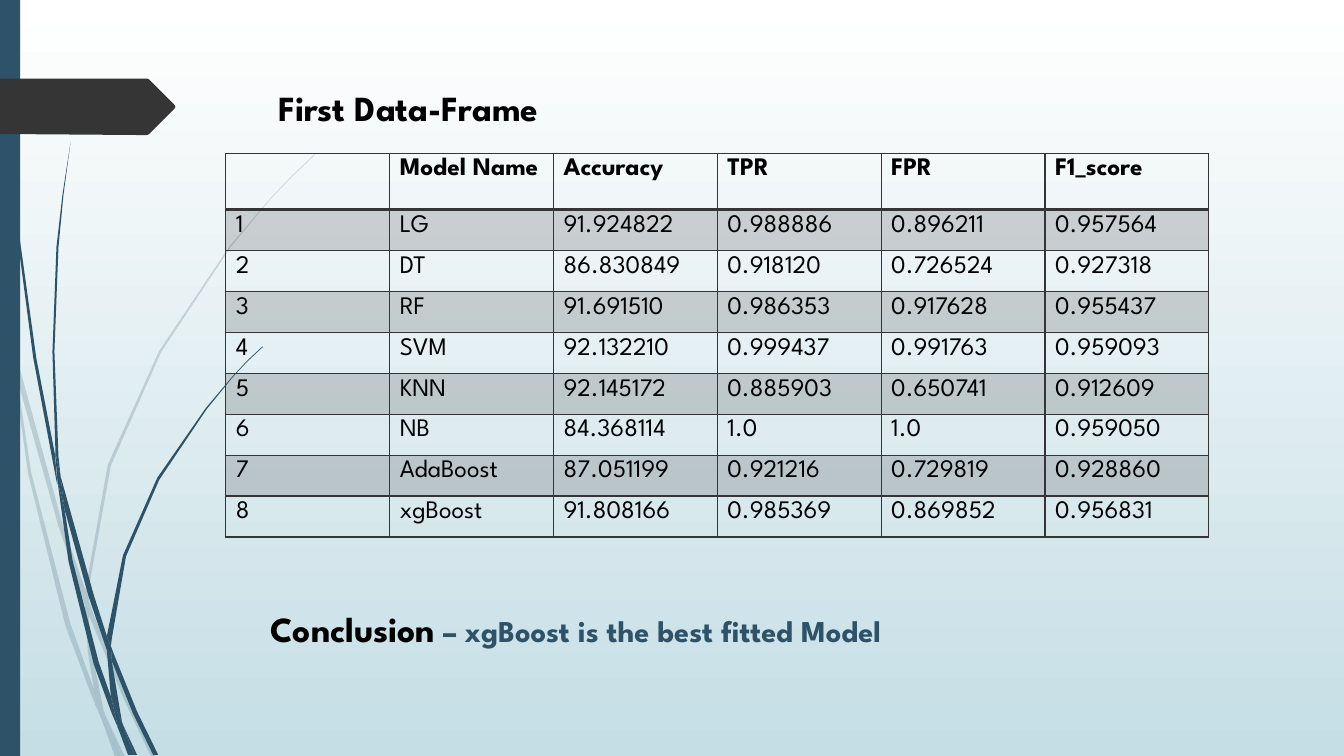
from lxml import etree
from pptx import Presentation, util as u
from pptx.dml.color import RGBColor
from pptx.enum import shapes, text
from pptx.oxml.ns import qn

THEME = {
    "font": "League Spartan",
    "black": "000000", "charcoal": "353535", "navy": "2E5369",
    "sky_top": "FFFFFF", "sky_bottom": "C5DEE5",
    "heading": 25.2, "remark": 21.6, "cell": 18,
    "faint": 20, "solid": 100,
}


def write(para, words, size, colour="black", bold=False):
    span = para.add_run()
    span.text = words
    span.font.name = THEME["font"]
    span.font.size = u.Pt(size)
    span.font.bold = bold
    span.font.color.rgb = RGBColor.from_string(THEME[colour])


def paint(fill, element, colour, opacity=100):
    """Fill solidly; element is the XML that holds the fill."""
    fill.solid()
    fill.fore_color.rgb = RGBColor.from_string(THEME[colour])
    if opacity < 100:
        tone = element.find(qn("a:solidFill")).find(qn("a:srgbClr"))
        etree.SubElement(tone, qn("a:alpha"), val=str(opacity * 1000))


deck = Presentation()
deck.slide_width, deck.slide_height = u.Inches(13.33), u.Inches(7.5)
page = deck.slides.add_slide(deck.slide_layouts[6])

sky = page.background.fill
sky.gradient()
sky.gradient_angle = 270
for stop, name in zip(sky.gradient_stops, ("sky_top", "sky_bottom")):
    stop.color.rgb = RGBColor.from_string(THEME[name])

# Corners in inches
faint_grass = [
    [(0.11, 3.5), (0.09, 3.22), (0, 2.82), (0, 2.99), (0.1, 3.44)],
    [(0.58, 5.22), (0.84, 5.99), (0.85, 5.86), (0.62, 5.2), (0.14, 3.45), (0.17, 3.76)],
    [(0.92, 6.07), (0.88, 5.96), (0.88, 6.1), (1.23, 6.94), (1.5, 7.51), (1.55, 7.51),
     (1.27, 6.92)],
    [(1.19, 7.51), (1.24, 7.51), (1.05, 7.11)],
    [(0.93, 6.83), (0.7, 6.19), (0.31, 4.69), (0.17, 3.76), (0.11, 3.5), (0.28, 4.7),
     (0.65, 6.21), (0.92, 6.93), (1.01, 7.14), (0.99, 7.07)],
    [(0.84, 5.99), (0.87, 6.46), (0.93, 6.83), (0.96, 6.92), (1.05, 7.11), (1.03, 7.06),
     (0.91, 6.46), (0.88, 6.1), (0.88, 6.08)],
    [(0.88, 5.84), (1.1, 4.62), (1.6, 3.49), (2.29, 2.45), (2.68, 1.98), (2.9, 1.75),
     (3.12, 1.54), (3.12, 1.53), (2.89, 1.75), (2.68, 1.97), (2.28, 2.44), (1.58, 3.48),
     (1.07, 4.61), (0.85, 5.84), (0.85, 5.86), (0.88, 5.96)],
    [(1.01, 7.14), (1.14, 7.51), (1.19, 7.51)],
    [(0.88, 6.08), (0.88, 6.1), (0.88, 5.96), (0.85, 5.86), (0.84, 5.99)],
    [(0.96, 6.92), (0.93, 6.83), (0.99, 7.07), (1.01, 7.14), (1.19, 7.51), (1.05, 7.11)],
]
solid_grass = [
    [(0.07, 1.1), (0.17, 2.33), (0.33, 3.55), (0.56, 4.77), (0.57, 4.81), (0.55, 4.57),
     (0.55, 4.53), (0.36, 3.55), (0.19, 2.32), (0.08, 1.09), (0.05, 0.48), (0.04, 0),
     (0.03, 0), (0.04, 0.48)],
    [(0.88, 5.92), (1.06, 6.45), (1.06, 6.33), (1.06, 6.31), (0.93, 5.9), (0.6, 4.72),
     (0.64, 5.05)],
    [(1.13, 6.49), (1.1, 6.41), (1.11, 6.56), (1.32, 7.08), (1.52, 7.49), (1.57, 7.49),
     (1.36, 7.06)],
    [(1.1, 6.91), (0.98, 6.57), (0.72, 5.56), (0.64, 5.05), (0.57, 4.77), (0.68, 5.57),
     (0.93, 6.59), (1.11, 7.08), (1.17, 7.22), (1.16, 7.17)],
    [(0.6, 4.72), (0.58, 4.53), (0.54, 3.49), (0.58, 2.45), (0.63, 1.93), (0.7, 1.41),
     (0.62, 1.93), (0.56, 2.45), (0.52, 3.49), (0.55, 4.49)],
    [(1.33, 7.49), (1.36, 7.49), (1.22, 7.19)],
    [(0.57, 4.77), (0.64, 5.05), (0.6, 4.72), (0.55, 4.49), (0.55, 4.53)],
    [(1.11, 6.33), (1.25, 5.52), (1.58, 4.76), (2.05, 4.06), (2.31, 3.74), (2.45, 3.59),
     (2.61, 3.44), (2.6, 3.44), (2.45, 3.58), (2.31, 3.73), (2.04, 4.05), (1.56, 4.74),
     (1.22, 5.51), (1.06, 6.31), (1.1, 6.41)],
    [(1.17, 7.22), (1.27, 7.49), (1.31, 7.49)],
    [(1.06, 6.45), (1.1, 6.91), (1.16, 7.06), (1.22, 7.19), (1.21, 7.16), (1.11, 6.56),
     (1.09, 6.51)],
    [(1.06, 6.45), (1.09, 6.51), (1.11, 6.56), (1.1, 6.41), (1.06, 6.31), (1.06, 6.33)],
    [(1.16, 7.06), (1.1, 6.91), (1.16, 7.17), (1.17, 7.22), (1.3, 7.49), (1.33, 7.49),
     (1.22, 7.19)],
]
ribbon = [(1.73, 1.08), (1.48, 1.33), (1.46, 1.34), (1.36, 1.34), (0, 1.33), (0, 0.78),
          (1.36, 0.78), (1.46, 0.78), (1.48, 0.79), (1.73, 1.04), (1.74, 1.06)]
edge_bar = [(0, 0), (0.2, 0), (0.2, 7.5), (0, 7.5)]

outlines = [(corners, "navy", THEME["faint"]) for corners in faint_grass]
outlines += [(corners, "navy", THEME["solid"]) for corners in solid_grass]
outlines += [(edge_bar, "navy", THEME["solid"]), (ribbon, "charcoal", THEME["solid"])]
for corners, colour, opacity in outlines:
    if corners is edge_bar:
        shape = page.shapes.add_shape(shapes.MSO_SHAPE.RECTANGLE, 0, 0,
                                      u.Inches(0.2), deck.slide_height)
    else:
        start, *rest = [(u.Inches(x), u.Inches(y)) for x, y in corners]
        builder = page.shapes.build_freeform(*start)
        builder.add_line_segments(rest, close=True)
        shape = builder.convert_to_shape()
    shape.shadow.inherit = False
    shape.line.fill.background()
    paint(shape.fill, shape._element.spPr, colour, opacity)

headings = [
    (2.76, 0.82, [("First Data-Frame", THEME["heading"], "black")]),
    (2.68, 5.98, [("Conclusion", THEME["heading"], "black"),
                  (" – xgBoost is the best fitted Model", THEME["remark"], "navy")]),
]
for left, top, spans in headings:
    box = page.shapes.add_textbox(u.Inches(left), u.Inches(top), u.Inches(9), u.Inches(0.5))
    frame = box.text_frame
    frame.word_wrap = True
    frame.vertical_anchor = text.MSO_ANCHOR.MIDDLE
    frame.margin_left = frame.margin_right = frame.margin_top = frame.margin_bottom = 0
    for words, size, colour in spans:
        write(frame.paragraphs[0], words, size, colour, bold=True)

scores = [
    ("", "Model Name", "Accuracy", "TPR", "FPR", "F1_score"),
    ("1", "LG", "91.924822", "0.988886", "0.896211", "0.957564"),
    ("2", "DT", "86.830849", "0.918120", "0.726524", "0.927318"),
    ("3", "RF", "91.691510", "0.986353", "0.917628", "0.955437"),
    ("4", "SVM", "92.132210", "0.999437", "0.991763", "0.959093"),
    ("5", "KNN", "92.145172", "0.885903", "0.650741", "0.912609"),
    ("6", "NB", "84.368114", "1.0", "1.0", "0.959050"),
    ("7", "AdaBoost", "87.051199", "0.921216", "0.729819", "0.928860"),
    ("8", "xgBoost", "91.808166", "0.985369", "0.869852", "0.956831"),
]
HEADER, BODY, WIDTH = u.Inches(0.56), u.Inches(3.25), u.Inches(9.75)
table = page.shapes.add_table(len(scores), len(scores[0]), u.Inches(2.24), u.Inches(1.52),
                              WIDTH, HEADER + BODY).table
table.horz_banding = table.first_row = False
for row_index, values in enumerate(scores):
    is_header = row_index == 0
    table.rows[row_index].height = HEADER if is_header else BODY // (len(scores) - 1)
    for column_index, value in enumerate(values):
        cell = table.cell(row_index, column_index)
        if value:
            write(cell.text_frame.paragraphs[0], value, THEME["cell"], bold=is_header)
        properties = cell._tc.get_or_add_tcPr()
        if row_index % 2:
            paint(cell.fill, properties, "charcoal", THEME["faint"])
        else:
            cell.fill.background()
        for position, side in enumerate(("lnL", "lnR", "lnT", "lnB")):
            weight = 2 if is_header and side == "lnB" else 1
            border = etree.Element(qn(f"a:{side}"), w=str(u.Pt(weight)))
            ink = etree.SubElement(border, qn("a:solidFill"))
            etree.SubElement(ink, qn("a:srgbClr"), val=THEME["charcoal"])
            properties.insert(position, border)

deck.save("out.pptx")
